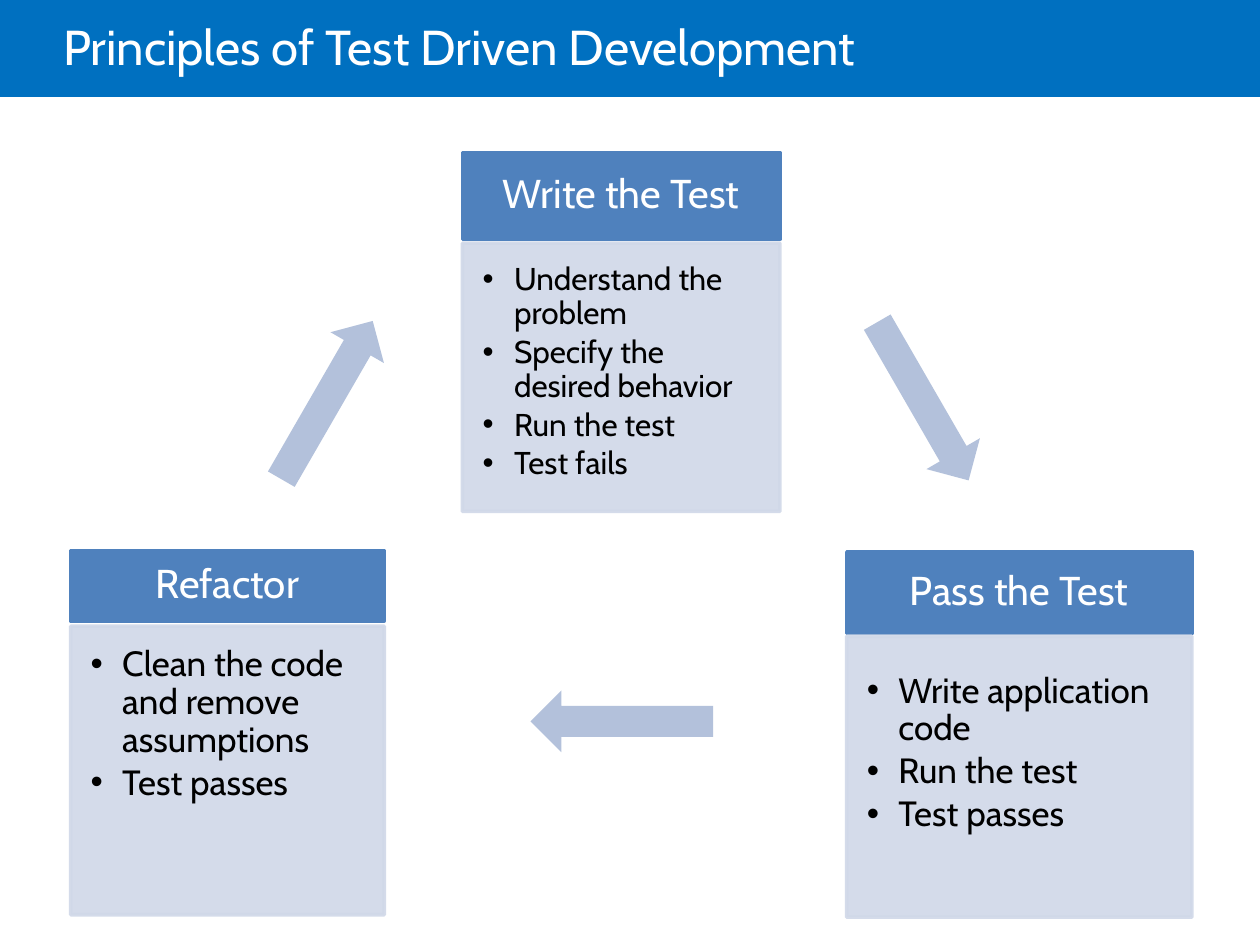
from dataclasses import dataclass

from lxml import etree
from pptx import Presentation
from pptx import util as u
from pptx.dml.color import RGBColor
from pptx.enum import shapes, text
from pptx.oxml.ns import qn

FONT = "Cabin"
COLORS = {
    "bar": "0070C0",
    "heading": "4F81BD",
    "panel": "D0D8E8",
    "arrow": "B3C1DB",
    "light": "FFFFFF",
    "dark": "000000",
}
COLUMNS, ROWS = 100, 75  # grid over the whole slide
WIDTH, HEIGHT = u.Inches(10), u.Inches(7.5)


@dataclass
class Area:
    """A rectangle in columns and rows of the grid."""
    column: float
    row: float
    columns: float
    rows: float

    def lengths(self) -> tuple[int, ...]:
        return (int(self.column * WIDTH / COLUMNS), int(self.row * HEIGHT / ROWS),
                int(self.columns * WIDTH / COLUMNS), int(self.rows * HEIGHT / ROWS))


@dataclass
class Step:
    heading: str
    heading_area: Area
    panel_row: float
    panel_rows: float
    points: list[str]
    size: float
    top_inset: float = 0.16


@dataclass
class Arrow:
    column: float
    row: float
    rotation: float


STEPS = [
    Step("Write the Test", Area(36.7, 12.1, 25.2, 6.9), 19.3, 21.3,
         ["Understand the problem", "Specify the desired behavior",
          "Run the test", "Test fails"], 18),
    Step("Pass the Test", Area(67.2, 43.8, 27.4, 6.5), 50.5, 22.3,
         ["Write application code", "Run the test", "Test passes"], 20, 0.29),
    Step("Refactor", Area(5.6, 43.7, 24.9, 5.6), 49.7, 22.9,
         ["Clean the code and remove assumptions", "Test passes"], 20),
]
ARROWS = [Arrow(66, 29.4, 240), Arrow(42.1, 54.8, 0), Arrow(18.7, 29.3, 120)]


def color(name: str) -> RGBColor:
    return RGBColor.from_string(COLORS[name])


def add_box(page, kind, area: Area, fill: str, outlined: bool = False):
    box = page.shapes.add_shape(kind, *area.lengths())
    box.shadow.inherit = False
    box.fill.solid()
    box.fill.fore_color.rgb = color(fill)
    if outlined:
        box.line.color.rgb = color(fill)
        box.line.width = u.Pt(2)
    else:
        box.line.fill.background()
    return box


def set_frame(frame, anchor, insets: tuple[float, ...]) -> None:
    frame.word_wrap = True
    frame.auto_size = text.MSO_AUTO_SIZE.NONE
    frame.vertical_anchor = anchor
    (frame.margin_left, frame.margin_top,
     frame.margin_right, frame.margin_bottom) = map(u.Inches, insets)


def add_span(para, words: str, size: float, ink: str, align, spacing: float = 0.9) -> None:
    para.alignment = align
    para.line_spacing = spacing
    span = para.add_run()
    span.text = words
    span.font.name = FONT
    span.font.size = u.Pt(size)
    span.font.color.rgb = color(ink)


def add_bullet(para) -> None:
    props = para._p.get_or_add_pPr()
    indent = u.Inches(0.25)
    props.set("marL", str(indent))
    props.set("indent", str(-indent))
    etree.SubElement(props, qn("a:buFont")).set("typeface", "Arial")
    etree.SubElement(props, qn("a:buChar")).set("char", "•")


def set_opacity(box, percent: int) -> None:
    for tint in box.element.spPr.iter(qn("a:srgbClr")):
        etree.SubElement(tint, qn("a:alpha")).set("val", str(percent * 1000))


def add_step(page, step: Step) -> None:
    rect = shapes.MSO_SHAPE.RECTANGLE
    area = step.heading_area
    heading = add_box(page, rect, area, "heading", outlined=True)
    set_frame(heading.text_frame, text.MSO_ANCHOR.MIDDLE, (0.21, 0.12, 0.21, 0.12))
    add_span(heading.text_frame.paragraphs[0], step.heading, 23, "light",
             text.PP_ALIGN.CENTER)

    panel_area = Area(area.column, step.panel_row, area.columns, step.panel_rows)
    panel = add_box(page, rect, panel_area, "panel", outlined=True)
    set_opacity(panel, 90)
    frame = panel.text_frame
    set_frame(frame, text.MSO_ANCHOR.TOP, (0.16, step.top_inset, 0.21, 0.12))
    for number, point in enumerate(step.points):
        para = frame.add_paragraph() if number else frame.paragraphs[0]
        add_span(para, point, step.size, "dark", text.PP_ALIGN.LEFT)
        para.space_after = u.Pt(round(step.size * 0.15, 1))
        add_bullet(para)


def add_title(page, words: str) -> None:
    bar = add_box(page, shapes.MSO_SHAPE.RECTANGLE, Area(0, 0, COLUMNS, 7.7), "bar")
    page.shapes.element.insert(2, bar.element)  # behind the title
    title = page.shapes.title
    title.left, title.top, title.width, title.height = Area(5, 0, 85, 8.1).lengths()
    set_frame(title.text_frame, text.MSO_ANCHOR.MIDDLE, (0, 0.05, 0.1, 0.05))
    add_span(title.text_frame.paragraphs[0], words, 28, "light",
             text.PP_ALIGN.LEFT, 0.85)


def main() -> None:
    deck = Presentation()
    deck.slide_width, deck.slide_height = WIDTH, HEIGHT
    page = deck.slides.add_slide(deck.slide_layouts[5])

    # Title bar
    add_title(page, "Principles of Test Driven Development")

    # The three steps of the cycle
    for step in STEPS:
        add_step(page, step)

    # Arrows from step to step
    for arrow in ARROWS:
        pointer = add_box(page, shapes.MSO_SHAPE.LEFT_ARROW,
                          Area(arrow.column, arrow.row, 14.5, 4.9), "arrow")
        pointer.rotation = arrow.rotation

    deck.save("out.pptx")


if __name__ == "__main__":
    main()
